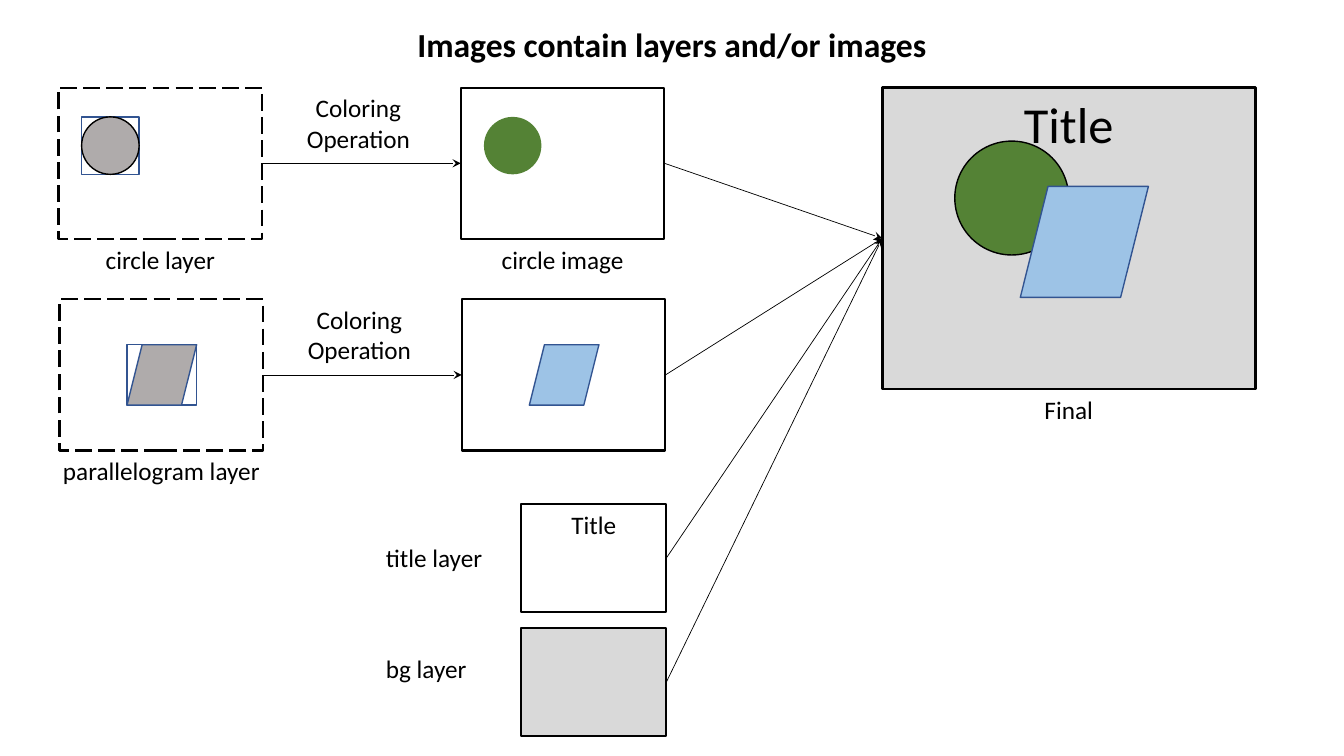
"""Build a slide showing how layers become images and combine into a final image."""
from lxml import etree
from pptx import Presentation
from pptx.dml.color import RGBColor
from pptx.enum.dml import MSO_LINE
from pptx.enum.shapes import MSO_CONNECTOR, MSO_SHAPE
from pptx.enum.text import MSO_ANCHOR, PP_ALIGN
from pptx.oxml.ns import qn
from pptx.util import Inches, Pt

BLACK = RGBColor(0x00, 0x00, 0x00)
WHITE = RGBColor(0xFF, 0xFF, 0xFF)
LIGHT_GRAY = RGBColor(0xD9, 0xD9, 0xD9)
GRAY = RGBColor(0xAF, 0xAB, 0xAB)
GREEN = RGBColor(0x54, 0x82, 0x35)
SKY = RGBColor(0x9D, 0xC3, 0xE6)
NAVY = RGBColor(0x32, 0x54, 0x91)
FONT = "Calibri"
RECT, CIRCLE, SLANT = MSO_SHAPE.RECTANGLE, MSO_SHAPE.OVAL, MSO_SHAPE.PARALLELOGRAM
FRAME_W, FRAME_H = 2.02, 1.5
IMAGE_STEP = 3.99
GLYPHS = {CIRCLE: (0.23, 0.29, 0.57, 0.57), SLANT: (0.67, 0.45, 0.69, 0.6)}


def write(shape, text, size=18, bold=False, align=PP_ALIGN.CENTER, anchor=MSO_ANCHOR.TOP):
    """Put one styled paragraph into a shape."""
    frame = shape.text_frame
    frame.word_wrap = True
    frame.vertical_anchor = anchor
    paragraph = frame.paragraphs[0]
    paragraph.alignment = align
    run = paragraph.add_run()
    run.text = text
    run.font.name, run.font.size, run.font.bold = FONT, Pt(size), bold
    run.font.color.rgb = BLACK


def label(slide, box, text, **style):
    """Add a text box."""
    write(slide.shapes.add_textbox(*map(Inches, box)), text, **style)


def draw(slide, kind, box, fill=None, line=BLACK, width=1.5, dashed=False):
    """Add a preset shape with an optional fill and outline."""
    shape = slide.shapes.add_shape(kind, *map(Inches, box))
    shape.shadow.inherit = False
    if fill is None:
        shape.fill.background()
    else:
        shape.fill.solid()
        shape.fill.fore_color.rgb = fill
    if line is None:
        shape.line.fill.background()
    else:
        shape.line.color.rgb = line
        shape.line.width = Pt(width)
    if dashed:
        shape.line.dash_style = MSO_LINE.LONG_DASH
    return shape


def arrow(slide, start, end):
    """Add a thin line with a stealth arrowhead at its end."""
    line = slide.shapes.add_connector(MSO_CONNECTOR.STRAIGHT, *map(Inches, start + end))
    line.line.color.rgb = BLACK
    line.line.width = Pt(0.5)
    etree.SubElement(line.line._get_or_add_ln(), qn("a:tailEnd"), type="stealth")
    etree.SubElement(line._element.spPr, qn("a:effectLst"))


def coloring_row(slide, left, top, glyph, color, image_line, layer_line, captions):
    """Draw a layer, its coloring step and its image; return the image's right middle."""
    dx, dy, width, height = GLYPHS[glyph]
    image_left = left + IMAGE_STEP
    middle = top + FRAME_H / 2
    columns = ((left, GRAY, layer_line, True), (image_left, color, image_line, False))
    for x, fill, line, is_layer in columns:
        draw(slide, RECT, (x, top, FRAME_W, FRAME_H), dashed=is_layer)
        glyph_box = (x + dx, top + dy, width, height)
        if is_layer:
            draw(slide, RECT, glyph_box, line=NAVY, width=1)
        draw(slide, glyph, glyph_box, fill, line, 1)
    for x, caption in zip((left, image_left), captions):
        label(slide, (x - 0.3, top + FRAME_H, FRAME_W + 0.6, 0.4), caption)
    label(slide, (left + 2.34, top, 1.27, 0.71), "Coloring Operation")
    arrow(slide, (left + FRAME_W, middle), (image_left, middle))
    return image_left + FRAME_W, middle


def plain_layer(slide, left, top, fill, caption, caption_dy, text=None):
    """Draw a captioned layer that needs no coloring; return its right middle."""
    width, height = 1.44, 1.07
    label(slide, (left - width, top + caption_dy, width, 0.4), caption, align=PP_ALIGN.LEFT)
    layer = draw(slide, RECT, (left, top, width, height), fill)
    if text:
        write(layer, text)
    return left + width, top + height / 2


def final_image(slide, left, top, width, height):
    """Draw the combined image; return its left middle."""
    write(draw(slide, RECT, (left, top, width, height), LIGHT_GRAY, width=2), "Title", size=36)
    draw(slide, CIRCLE, (left + 0.72, top + 0.53, 1.13, 1.13), GREEN, width=1)
    draw(slide, SLANT, (left + 1.37, top + 0.98, 1.27, 1.1), SKY, NAVY, 1)
    label(slide, (left, top + height, width, 0.4), "Final")
    return left, top + height / 2


def main():
    """Assemble and save the slide."""
    deck = Presentation()
    deck.slide_width, deck.slide_height = Inches(13.33), Inches(7.5)
    slide = deck.slides.add_slide(deck.slide_layouts[6])
    label(slide, (0, 0, 13.33, 0.87), "Images contain layers and/or images",
          size=24, bold=True, anchor=MSO_ANCHOR.MIDDLE)
    target = final_image(slide, 8.75, 0.87, 3.7, 2.99)
    sources = (
        coloring_row(slide, 0.58, 0.87, CIRCLE, GREEN, None, BLACK,
                     ("circle layer", "circle image")),
        coloring_row(slide, 0.59, 2.97, SLANT, SKY, NAVY, NAVY, ("parallelogram layer",)),
        plain_layer(slide, 5.17, 5, WHITE, "title layer", 0.33, "Title"),
        plain_layer(slide, 5.17, 6.23, LIGHT_GRAY, "bg layer", 0.2),
    )
    for source in sources:
        arrow(slide, source, target)
    deck.save("out.pptx")


main()
